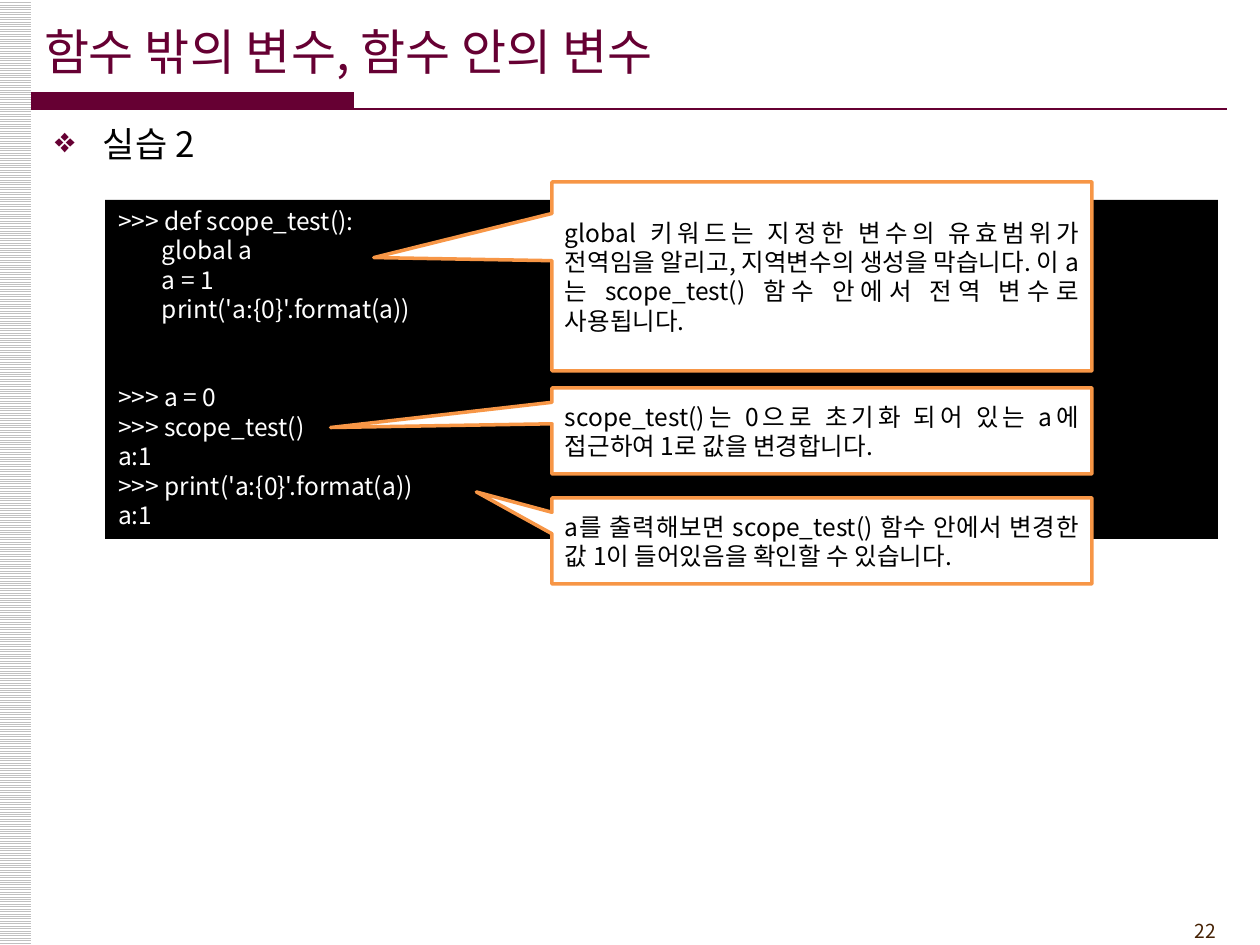
from dataclasses import dataclass
from lxml import etree
from pptx import Presentation
from pptx.dml.color import RGBColor as RGB
from pptx.enum.dml import MSO_PATTERN as Pattern
from pptx.enum.shapes import MSO_CONNECTOR as Connector, MSO_SHAPE as Shape
from pptx.enum.text import MSO_ANCHOR as Anchor, MSO_AUTO_SIZE as AutoSize, PP_ALIGN as Align
from pptx.oxml.ns import qn
from pptx.util import Emu, Pt


@dataclass(frozen=True)
class Theme:
    font: str = "Noto Sans CJK KR"
    wine: RGB = RGB(0x66, 0x00, 0x33)
    orange: RGB = RGB(0xF7, 0x96, 0x46)
    brown: RGB = RGB(0x45, 0x21, 0x03)
    silver: RGB = RGB(0xC0, 0xC0, 0xC0)
    black: RGB = RGB(0, 0, 0)
    white: RGB = RGB(255, 255, 255)
    title: int = 28
    heading: int = 20
    body: int = 14
    number: int = 11
    leading: float = 1.2


theme = Theme()
PX = 914400 / 126


def px(*lengths):
    return [Emu(round(length * PX)) for length in lengths]


def write(frame, lines, size, color, align=Align.LEFT, anchor=Anchor.TOP, inset_y=0):
    """Fill a text frame, one paragraph for each line."""
    frame.word_wrap = True
    frame.auto_size = AutoSize.NONE
    frame.vertical_anchor = anchor
    frame.margin_left, frame.margin_right = px(13, 13)
    frame.margin_top, frame.margin_bottom = px(inset_y, inset_y)
    for index, line in enumerate(lines):
        paragraph = frame.add_paragraph() if index else frame.paragraphs[0]
        paragraph.alignment = align
        paragraph.line_spacing = Pt(size * theme.leading)
        paragraph.space_before = Pt(0)
        run = paragraph.add_run()
        run.text = line
        run.font.name = theme.font
        run.font.size = Pt(size)
        run.font.color.rgb = color
        east_asian = etree.SubElement(run._r.get_or_add_rPr(), qn("a:ea"))
        east_asian.set("typeface", theme.font)


deck = Presentation()
deck.slide_width, deck.slide_height = px(1260, 945)
slide = deck.slides.add_slide(deck.slide_layouts[5])
shapes = slide.shapes

# Striped left margin
margin = shapes.add_shape(Shape.RECTANGLE, *px(-1, 0, 32, 945))
margin.shadow.inherit = False
margin.fill.patterned()
margin.fill.pattern = Pattern.LIGHT_HORIZONTAL
margin.fill.fore_color.rgb = theme.silver
margin.fill.back_color.rgb = theme.white
margin.line.fill.background()

# Title with its bar and rule
title = shapes.title
title.left, title.top, title.width, title.height = px(31, 11, 1042, 79)
write(title.text_frame, ["함수 밖의 변수, 함수 안의 변수"], theme.title, theme.wine,
      anchor=Anchor.MIDDLE)

bar = shapes.add_shape(Shape.RECTANGLE, *px(31, 92, 323, 18))
bar.shadow.inherit = False
bar.fill.solid()
bar.fill.fore_color.rgb = theme.wine
bar.line.fill.background()

rule = shapes.add_connector(Connector.STRAIGHT, *px(31, 109, 1227, 109))
rule.line.color.rgb = theme.wine
rule.line.width = Pt(1.5)
etree.SubElement(rule._element.spPr, qn("a:effectLst"))

# Bulleted heading
heading = shapes.add_textbox(*px(42, 117, 1197, 60)).text_frame
bullet_props = heading.paragraphs[0]._p.get_or_add_pPr()
indent = px(48)[0]
bullet_props.set("marL", str(indent))
bullet_props.set("indent", str(-indent))
bullet_color = etree.SubElement(bullet_props, qn("a:buClr"))
etree.SubElement(bullet_color, qn("a:srgbClr")).set("val", str(theme.wine))
etree.SubElement(bullet_props, qn("a:buChar")).set("char", "❖")
write(heading, ["실습 2"], theme.heading, theme.black, inset_y=6)

# Interpreter session
SESSION = [
    ">>> def scope_test():",
    "        global a",
    "        a = 1",
    "        print('a:{0}'.format(a))",
    ">>> a = 0",
    ">>> scope_test()",
    "a:1",
    ">>> print('a:{0}'.format(a))",
    "a:1",
]
console = shapes.add_shape(Shape.RECTANGLE, *px(105, 200, 1113, 339))
console.shadow.inherit = False
console.fill.solid()
console.fill.fore_color.rgb = theme.black
console.line.fill.background()
write(console.text_frame, SESSION, theme.body, theme.white, Align.JUSTIFY, inset_y=6)
first_call = console.text_frame.paragraphs[SESSION.index(">>> a = 0")]
first_call.space_before = Pt(2 * theme.body * theme.leading)

# Callouts: top, height, pointer tip relative to the box centre, text
CALLOUTS = [
    (182, 189, (-0.83, -0.1),
     "global 키워드는 지정한 변수의 유효범위가 전역임을 알리고, 지역변수의 생성을 막습니다. "
     "이 a는 scope_test() 함수 안에서 전역 변수로 사용됩니다."),
    (388, 86, (-0.91, -0.04),
     "scope_test()는 0으로 초기화 되어 있는 a에 접근하여 1로 값을 변경합니다."),
    (498, 86, (-0.64, -0.57),
     "a를 출력해보면 scope_test() 함수 안에서 변경한 값 1이 들어있음을 확인할 수 있습니다."),
]
for top, height, tip, remark in CALLOUTS:
    callout = shapes.add_shape(Shape.RECTANGULAR_CALLOUT, *px(552, top, 540, height))
    callout.adjustments[0], callout.adjustments[1] = tip
    callout.shadow.inherit = False
    callout.fill.solid()
    callout.fill.fore_color.rgb = theme.white
    callout.line.color.rgb = theme.orange
    callout.line.width = Pt(2)
    write(callout.text_frame, [remark], theme.body, theme.black, Align.JUSTIFY, Anchor.MIDDLE)

# Page number
page_number = shapes.add_textbox(*px(1124, 913, 105, 36))
write(page_number.text_frame, ["22"], theme.number, theme.brown, Align.RIGHT, Anchor.MIDDLE)

deck.save("out.pptx")
